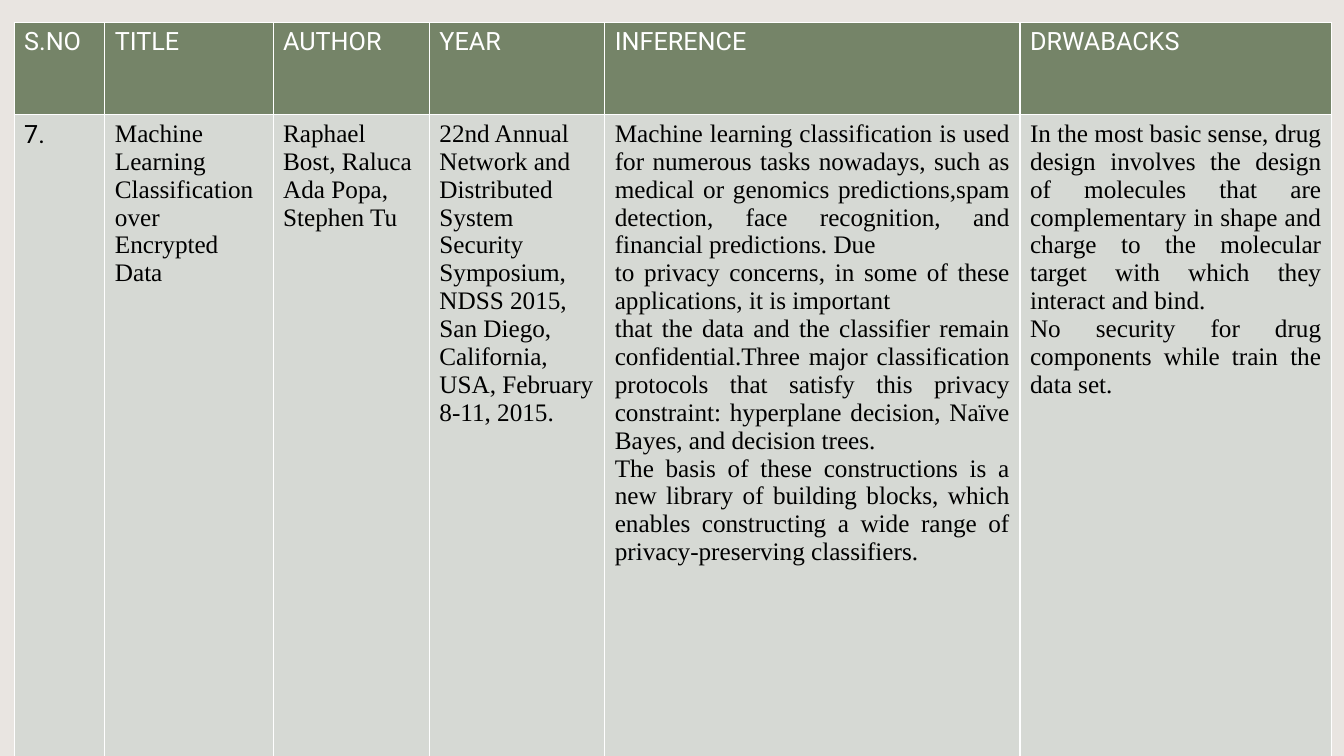
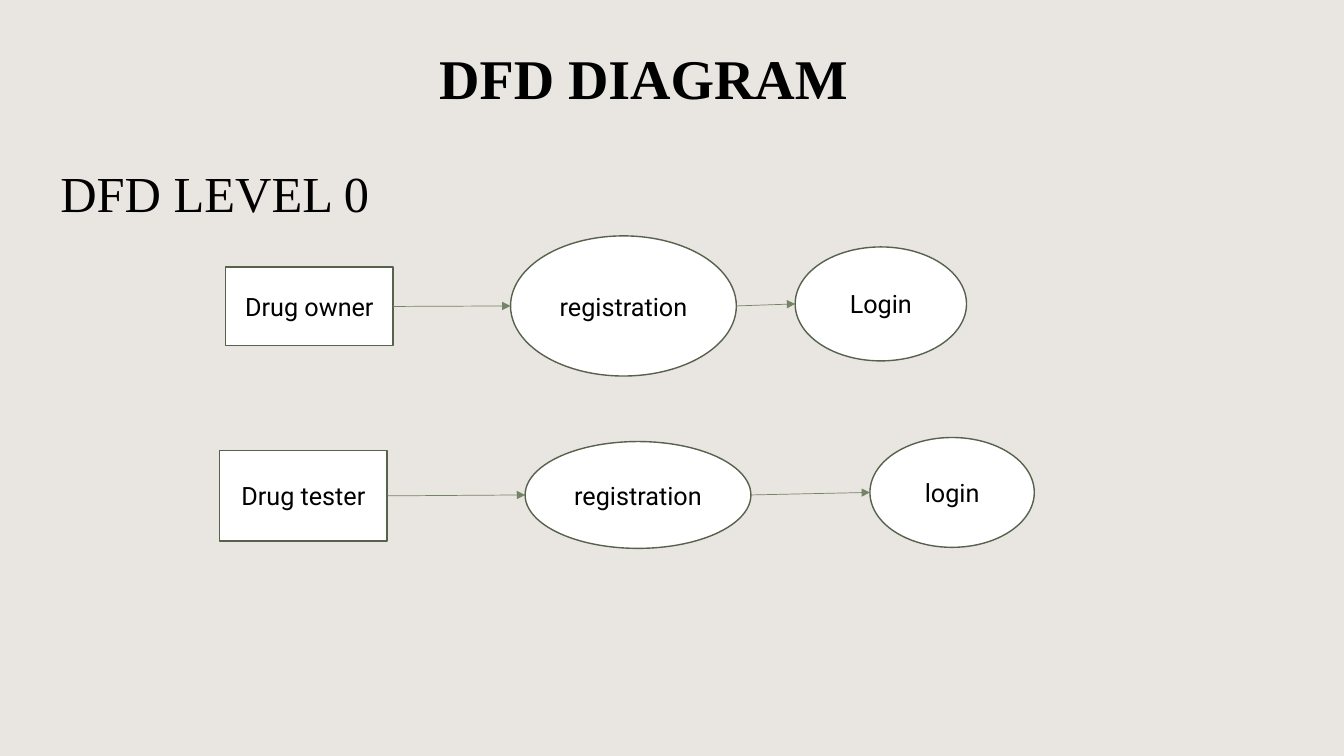
"""Build a literature survey table and a level 0 data flow diagram."""
from lxml.etree import SubElement
from pptx import Presentation
from pptx.dml.color import RGBColor
from pptx.enum.shapes import MSO_CONNECTOR, MSO_SHAPE
from pptx.enum.text import MSO_ANCHOR, PP_ALIGN
from pptx.oxml.ns import qn
from pptx.util import Pt

SAND = RGBColor(0xE9, 0xE5, 0xE1)
MOSS = RGBColor(0x75, 0x84, 0x68)
FOREST = RGBColor(0x57, 0x62, 0x4D)
MIST = RGBColor(0xD6, 0xD9, 0xD4)
WHITE = RGBColor(0xFF, 0xFF, 0xFF)
BLACK = RGBColor(0, 0, 0)
SANS = "Roboto"
SERIF = "Times New Roman"


def write(frame, lines, size=18, face=SANS, color=BLACK, align=PP_ALIGN.LEFT, bold=False):
    frame.word_wrap = True
    for i, line in enumerate(lines):
        para = frame.paragraphs[0] if i == 0 else frame.add_paragraph()
        para.alignment = align
        run = para.add_run()
        run.text = line
        run.font.size = Pt(size)
        run.font.name = face
        run.font.bold = bold
        run.font.color.rgb = color


def edge(cell):
    props = cell._tc.get_or_add_tcPr()
    for i, side in enumerate(("a:lnL", "a:lnR", "a:lnT", "a:lnB")):
        line = props.makeelement(qn(side), {"w": str(Pt(1))})
        fill = SubElement(line, qn("a:solidFill"))
        SubElement(fill, qn("a:srgbClr"), val=str(WHITE))
        props.insert(i, line)


prs = Presentation()
prs.slide_width = Pt(960)
prs.slide_height = Pt(540)
back = prs.slide_master.background.fill
back.solid()
back.fore_color.rgb = SAND
blank = prs.slide_layouts[6]

columns = [
    ("S.NO", 64.8, ["7."]),
    ("TITLE", 120.2, ["Machine Learning Classification over Encrypted Data"]),
    ("AUTHOR", 111.6, ["Raphael Bost, Raluca Ada Popa, Stephen Tu"]),
    ("YEAR", 125.3, [
        "22nd Annual Network and Distributed System Security Symposium, "
        "NDSS 2015, San Diego, California, USA, February 8-11, 2015."]),
    ("INFERENCE", 296.6, [
        "Machine learning classification is used for numerous tasks nowadays, such as "
        "medical or genomics predictions,spam detection, face recognition, and "
        "financial predictions. Due",
        "to privacy concerns, in some of these applications, it is important",
        "that the data and the classifier remain confidential.Three major classification "
        "protocols that satisfy this privacy constraint: hyperplane decision, Naïve "
        "Bayes, and decision trees.",
        "The basis of these constructions is a new library of building blocks, which "
        "enables constructing a wide range of privacy-preserving classifiers."]),
    ("DRWABACKS", 222.5, [
        "In the most basic sense, drug design involves the design of molecules that are "
        "complementary in shape and charge to the molecular target with which they "
        "interact and bind.",
        "No security for drug components while train the data set."]),
]
slide = prs.slides.add_slide(blank)
width = sum(col[1] for col in columns)
table = slide.shapes.add_table(2, len(columns), Pt(10.1), Pt(15.8), Pt(width), Pt(545)).table
table.rows[0].height = Pt(66.2)
table.rows[1].height = Pt(478.8)
for i, (head, wide, body) in enumerate(columns):
    table.columns[i].width = Pt(wide)
    top, low = table.cell(0, i), table.cell(1, i)
    for cell, color in ((top, MOSS), (low, MIST)):
        cell.fill.solid()
        cell.fill.fore_color.rgb = color
        edge(cell)
    write(top.text_frame, [head], color=WHITE)
    face = SANS if i == 0 else SERIF
    align = PP_ALIGN.JUSTIFY if len(body) > 1 else PP_ALIGN.LEFT
    write(low.text_frame, body, face=face, align=align)

slide = prs.slides.add_slide(blank)
title = slide.shapes.add_textbox(Pt(43.2), Pt(3), Pt(833), Pt(104.4)).text_frame
title.vertical_anchor = MSO_ANCHOR.MIDDLE
write(title, ["DFD DIAGRAM"], 40, SERIF, align=PP_ALIGN.CENTER, bold=True)
level = slide.shapes.add_textbox(Pt(36), Pt(112.3), Pt(888), Pt(50)).text_frame
write(level, ["DFD LEVEL 0"], 36, SERIF)

RECT, OVAL = MSO_SHAPE.RECTANGLE, MSO_SHAPE.OVAL
flows = [
    [(RECT, "Drug owner", 161.3, 190.8, 119.5, 56.2),
     (OVAL, "registration", 364.7, 168.5, 161.3, 100.1),
     (OVAL, "Login", 568, 176.4, 122.4, 81.4)],
    [(RECT, "Drug tester", 157, 321.8, 119.5, 64.8),
     (OVAL, "registration", 375.1, 315.4, 161.3, 76.3),
     (OVAL, "login", 621.4, 312.5, 117.4, 78.5)],
]
for flow in flows:
    nodes = []
    for kind, label, left, top, wide, high in flow:
        node = slide.shapes.add_shape(kind, Pt(left), Pt(top), Pt(wide), Pt(high))
        node.shadow.inherit = False
        node.fill.solid()
        node.fill.fore_color.rgb = WHITE
        node.line.color.rgb = FOREST
        node.line.width = Pt(1)
        node.text_frame.vertical_anchor = MSO_ANCHOR.MIDDLE
        write(node.text_frame, [label], align=PP_ALIGN.CENTER)
        nodes.append(node)
    for start, end in zip(nodes, nodes[1:]):
        arrow = slide.shapes.add_connector(
            MSO_CONNECTOR.STRAIGHT,
            start.left + start.width, start.top + start.height // 2,
            end.left, end.top + end.height // 2)
        arrow.line.color.rgb = MOSS
        arrow.line.width = Pt(0.5)
        SubElement(arrow.line._get_or_add_ln(), qn("a:tailEnd"), type="triangle")
        SubElement(arrow._element.spPr, qn("a:effectLst"))
        joint = arrow._element.nvCxnSpPr.cNvCxnSpPr
        first = joint.get_or_add_stCxn()
        first.id = start.shape_id
        first.idx = 3 if start is nodes[0] else 6
        last = joint.get_or_add_endCxn()
        last.id = end.shape_id
        last.idx = 2

prs.save("out.pptx")
